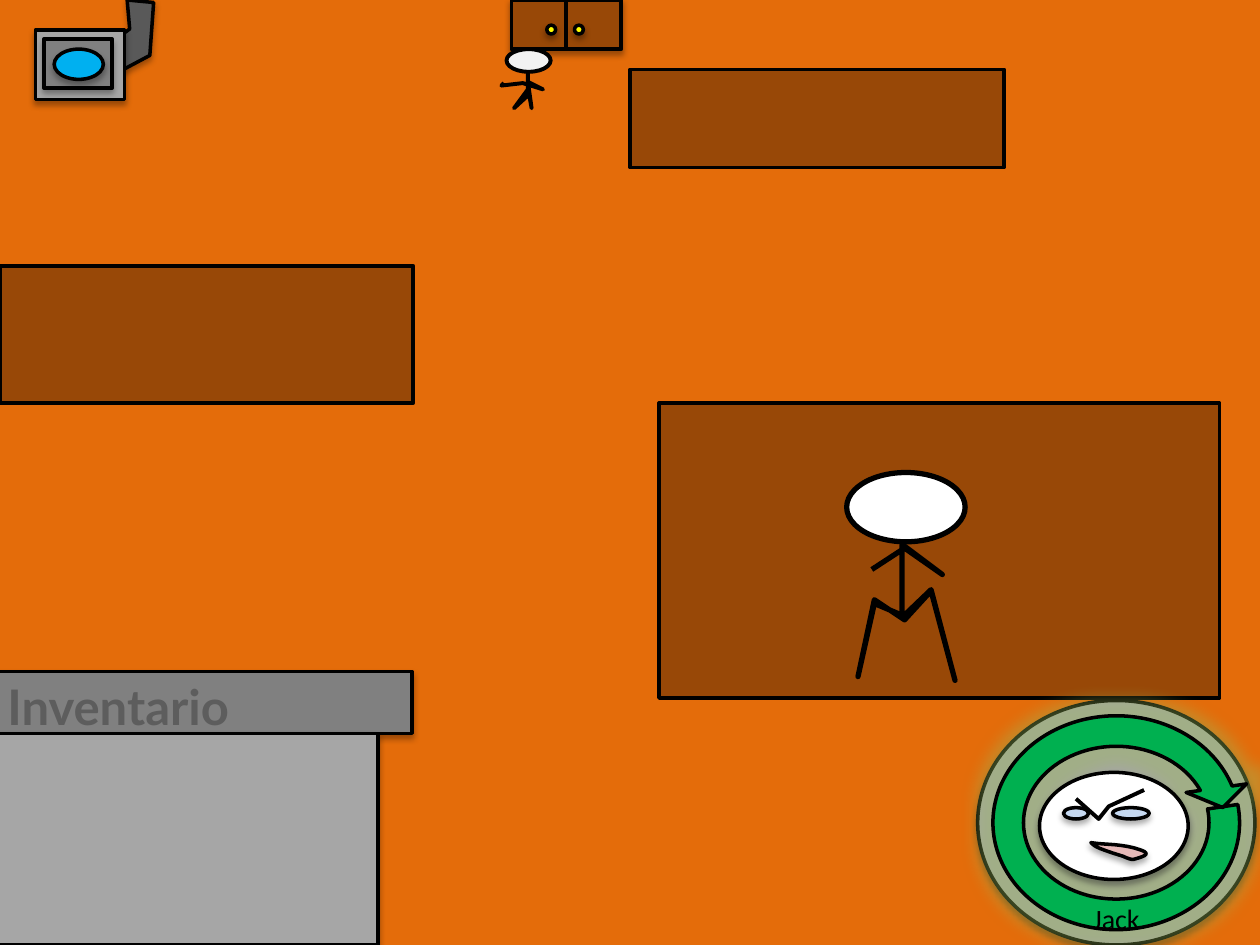
from dataclasses import dataclass

from lxml import etree
from pptx import Presentation
from pptx.dml.color import RGBColor
from pptx.enum.shapes import MSO_CONNECTOR, MSO_SHAPE
from pptx.enum.text import MSO_ANCHOR, MSO_AUTO_SIZE, PP_ALIGN
from pptx.oxml.ns import qn
from pptx.util import Inches, Pt

RECTANGLE = MSO_SHAPE.RECTANGLE
OVAL = MSO_SHAPE.OVAL
CIRCULAR_ARROW = MSO_SHAPE.CIRCULAR_ARROW
STRAIGHT = MSO_CONNECTOR.STRAIGHT
CENTER = PP_ALIGN.CENTER
LEFT = PP_ALIGN.LEFT
MIDDLE = MSO_ANCHOR.MIDDLE
TOP = MSO_ANCHOR.TOP
GROW = MSO_AUTO_SIZE.SHAPE_TO_FIT_TEXT


@dataclass(frozen=True)
class Theme:
    """Colours, type sizes and line widths of the scene."""
    floor: str = "E46C0A"
    wood: str = "984807"
    ink: str = "000000"
    knob: str = "FFFF00"
    pale: str = "F2F2F2"
    white: str = "FFFFFF"
    light_grey: str = "A6A6A6"
    grey: str = "808080"
    dark_grey: str = "595959"
    title: str = "5D5D5D"
    screen: str = "00B0F0"
    arrow: str = "00B050"
    glow: str = "9BBB59"
    lips: str = "E6B9B8"
    eyes: str = "C6D9F1"
    title_font: str = "Lato"
    name_font: str = "Calibri"
    title_size: float = 28
    name_size: float = 16
    thin: float = 2
    medium: float = 2.25
    thick: float = 3


THEME = Theme()


def rgb(value):
    """Turn a hex string into a colour."""
    return RGBColor.from_string(value)


def add_effect(shape, tag, alpha, color, **attributes):
    """Add one coloured effect to a shape's effect list."""
    effects = shape._element.spPr.find(qn("a:effectLst"))
    effect = etree.SubElement(effects, qn(tag), {key: str(int(value)) for key, value in attributes.items()})
    tint = etree.SubElement(effect, qn("a:srgbClr"), val=color)
    etree.SubElement(tint, qn("a:alpha"), val=str(alpha * 1000))


def style(shape, fill, width, shadow):
    """Set fill, outline and drop shadow."""
    if fill:
        shape.fill.solid()
        shape.fill.fore_color.rgb = rgb(fill)
    else:
        shape.fill.background()
    shape.line.color.rgb = rgb(THEME.ink)
    shape.line.width = Pt(width)
    shape.shadow.inherit = False
    if shadow:
        add_effect(shape, "a:outerShdw", 32, THEME.ink, blurRad=Pt(3.5),
                   dist=Pt(2.2), dir=90 * 60000, rotWithShape=0)
    return shape


def add_block(parent, kind, bounds, fill, width=THEME.thin, shadow=False):
    """Add a preset shape with bounds in inches."""
    shape = parent.shapes.add_shape(kind, *map(Inches, bounds))
    return style(shape, fill, width, shadow)


def add_outline(parent, points, fill=None, width=THEME.thin, shadow=False, close=False):
    """Add a freeform through points in inches."""
    corners = [(Inches(x), Inches(y)) for x, y in points]
    builder = parent.shapes.build_freeform(*corners[0])
    builder.add_line_segments(corners[1:], close=close)
    return style(builder.convert_to_shape(), fill, width, shadow)


def curve(start, first, second, end, steps=8):
    """Sample a cubic curve, leaving out its start."""
    points = []
    for step in range(1, steps + 1):
        t = step / steps
        weights = ((1 - t) ** 3, 3 * t * (1 - t) ** 2, 3 * t * t * (1 - t), t ** 3)
        points.append(tuple(sum(weight * point[axis] for weight, point in
                                zip(weights, (start, first, second, end)))
                            for axis in (0, 1)))
    return points


def add_label(parent, bounds, text, font, size, color, bold=False, align=LEFT, anchor=TOP):
    """Add a one-line text box."""
    box = parent.shapes.add_textbox(*map(Inches, bounds))
    frame = box.text_frame
    frame.word_wrap = True
    frame.auto_size = GROW
    frame.vertical_anchor = anchor
    para = frame.paragraphs[0]
    para.alignment = align
    span = para.add_run()
    span.text = text
    span.font.name = font
    span.font.size = Pt(size)
    span.font.bold = bold
    span.font.color.rgb = rgb(color)


def add_cabinet(page):
    """Draw the two-door cabinet."""
    group = page.shapes.add_group_shape()
    body = add_block(group, RECTANGLE, (4.06, 0, 0.87, 0.39), THEME.wood, THEME.medium, True)
    divider = group.shapes.add_connector(STRAIGHT, 0, 0, 0, 0)
    divider.begin_connect(body, 0)
    divider.end_connect(body, 2)
    divider.line.color.rgb = rgb(THEME.ink)
    divider.line.width = Pt(THEME.medium)
    etree.SubElement(divider._element.spPr, qn("a:effectLst"))
    for left in (4.34, 4.56):
        add_block(group, OVAL, (left, 0.2, 0.07, 0.07), THEME.knob, shadow=True)


def add_figure(page, head, head_fill, limbs, width):
    """Draw a stick figure."""
    group = page.shapes.add_group_shape()
    add_block(group, OVAL, head, head_fill, width)
    add_outline(group, limbs, width=width)


def add_inventory(page):
    """Draw the inventory panel."""
    group = page.shapes.add_group_shape()
    add_block(group, RECTANGLE, (-0.04, 5.33, 3.31, 0.49), THEME.grey, shadow=True)
    add_label(group, (-0.04, 5.32, 2.15, 0.57), "Inventario", THEME.title_font,
              THEME.title_size, THEME.title, bold=True)
    add_block(group, RECTANGLE, (-0.04, 5.82, 3.04, 1.68), THEME.light_grey, shadow=True)


def add_camera(page):
    """Draw the wall camera."""
    group = page.shapes.add_group_shape()
    arm = [(0.66, 0.4), (0.66, 0.61), (0.87, 0.61), (1.19, 0.44), (1.22, 0.02),
           (1.01, 0), (1.03, 0.23), (0.84, 0.37)]
    add_outline(group, arm, THEME.dark_grey, shadow=True, close=True)
    for kind, bounds, fill in (
            (RECTANGLE, (0.28, 0.24, 0.71, 0.55), THEME.light_grey),
            (RECTANGLE, (0.35, 0.31, 0.54, 0.39), THEME.grey),
            (OVAL, (0.43, 0.39, 0.39, 0.24), THEME.screen)):
        add_block(group, kind, bounds, fill, shadow=True)


def add_portrait(page):
    """Draw the round badge with the face and the name."""
    badge = (7.76, 5.56, 2.2, 1.94)
    add_block(page, OVAL, badge, THEME.light_grey, shadow=True)
    ring = add_block(page, CIRCULAR_ARROW, badge, THEME.arrow)
    for index, value in enumerate((0.125, 6.582, 204.577, 210.876, 0.125)):
        ring.adjustments[index] = value
    add_effect(ring, "a:glow", 40, THEME.glow, rad=Pt(18))
    add_label(page, (8.36, 7.1, 1, 0.37), "Jack", THEME.name_font, THEME.name_size,
              THEME.ink, align=CENTER, anchor=MIDDLE)
    add_block(page, OVAL, (8.25, 6.13, 1.18, 0.85), THEME.white, shadow=True)
    corner, top, bottom, chin = (8.65, 6.72), (9.05, 6.72), (9.01, 6.8), (8.92, 6.79)
    lips = [corner,
            *curve(corner, (8.78, 6.72), (8.9, 6.69), top),
            *curve(top, (9.16, 6.74), (9.05, 6.78), bottom),
            *curve(bottom, (9, 6.81), (8.95, 6.8), chin),
            *curve(chin, (8.66, 6.75), (8.69, 6.74), corner)]
    mouth = add_outline(page, lips, THEME.lips, shadow=True, close=True)
    mouth.rotation = 8.3
    add_outline(page, [(8.54, 6.34), (8.72, 6.5), (8.8, 6.4), (9.08, 6.27)], width=THEME.medium)
    for left, width in ((8.83, 0.29), (8.44, 0.2)):
        add_block(page, OVAL, (left, 6.41, width, 0.09), THEME.eyes, shadow=True)


def main():
    """Build the room and save the deck."""
    deck = Presentation()
    deck.slide_width, deck.slide_height = Inches(10), Inches(7.5)
    page = deck.slides.add_slide(deck.slide_layouts[6])
    page.background.fill.solid()
    page.background.fill.fore_color.rgb = rgb(THEME.floor)
    add_cabinet(page)
    for table in ((5.23, 3.2, 4.45, 2.34), (0, 2.11, 3.28, 1.09)):
        add_block(page, RECTANGLE, table, THEME.wood)
    add_figure(page, (4.02, 0.39, 0.35, 0.18), THEME.pale, [
        (4.19, 0.56), (4.19, 0.71), (4.08, 0.86), (4.2, 0.75), (4.22, 0.86),
        (4.19, 0.65), (4.31, 0.71), (4.15, 0.66), (3.98, 0.68), (4, 0.66)], THEME.medium)
    add_block(page, RECTANGLE, (5, 0.55, 2.97, 0.78), THEME.wood)
    add_figure(page, (6.72, 3.75, 0.94, 0.55), THEME.white, [
        (7.16, 4.44), (7.16, 4.9), (7.39, 4.68), (7.58, 5.4), (7.39, 4.69),
        (7.18, 4.92), (6.94, 4.76), (6.81, 5.37), (6.94, 4.79), (7.13, 4.87),
        (7.16, 4.89), (7.16, 4.32), (7.48, 4.56), (7.18, 4.35), (6.92, 4.52)], THEME.thick)
    add_inventory(page)
    add_camera(page)
    add_portrait(page)
    deck.save("out.pptx")


if __name__ == "__main__":
    main()
